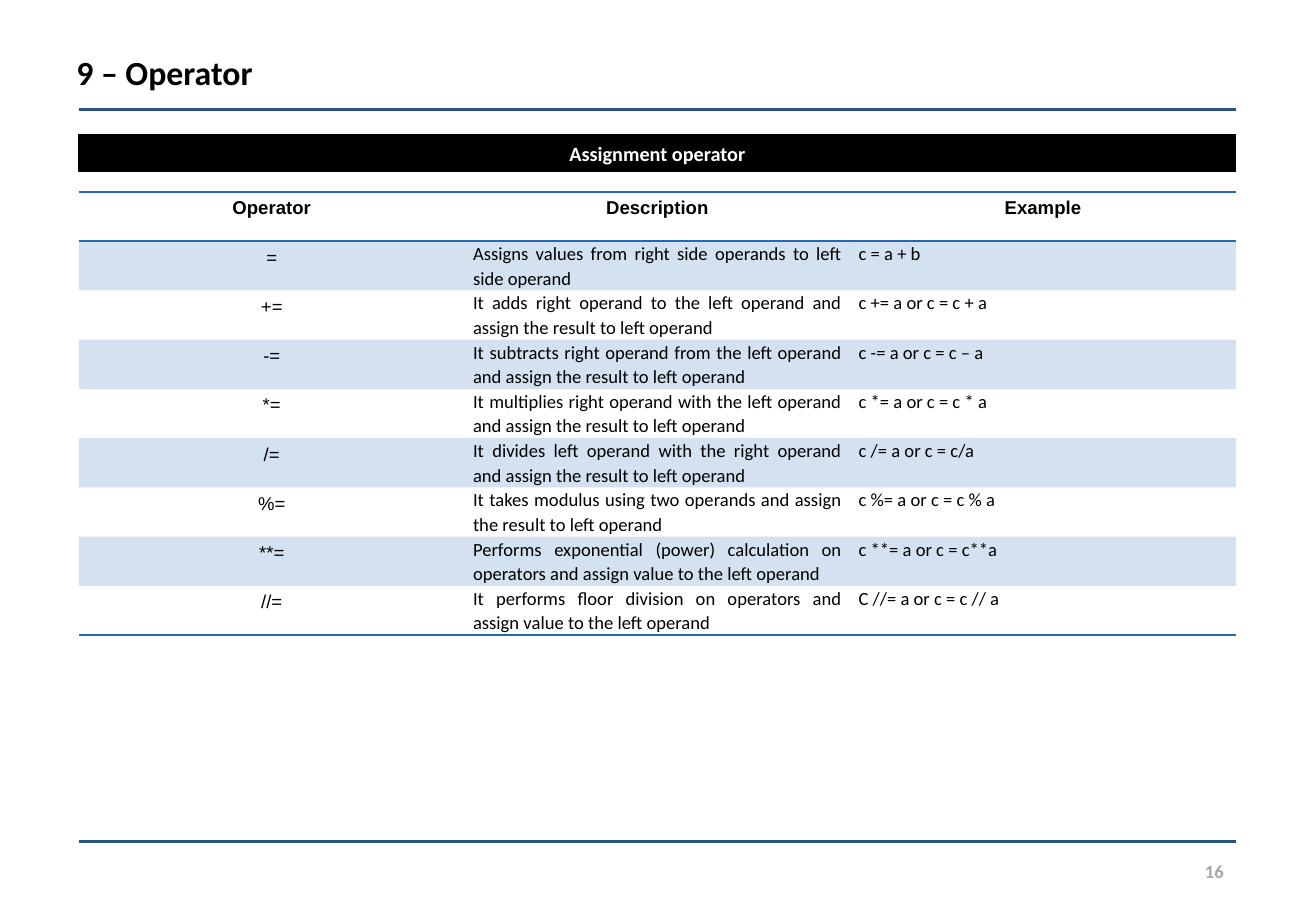
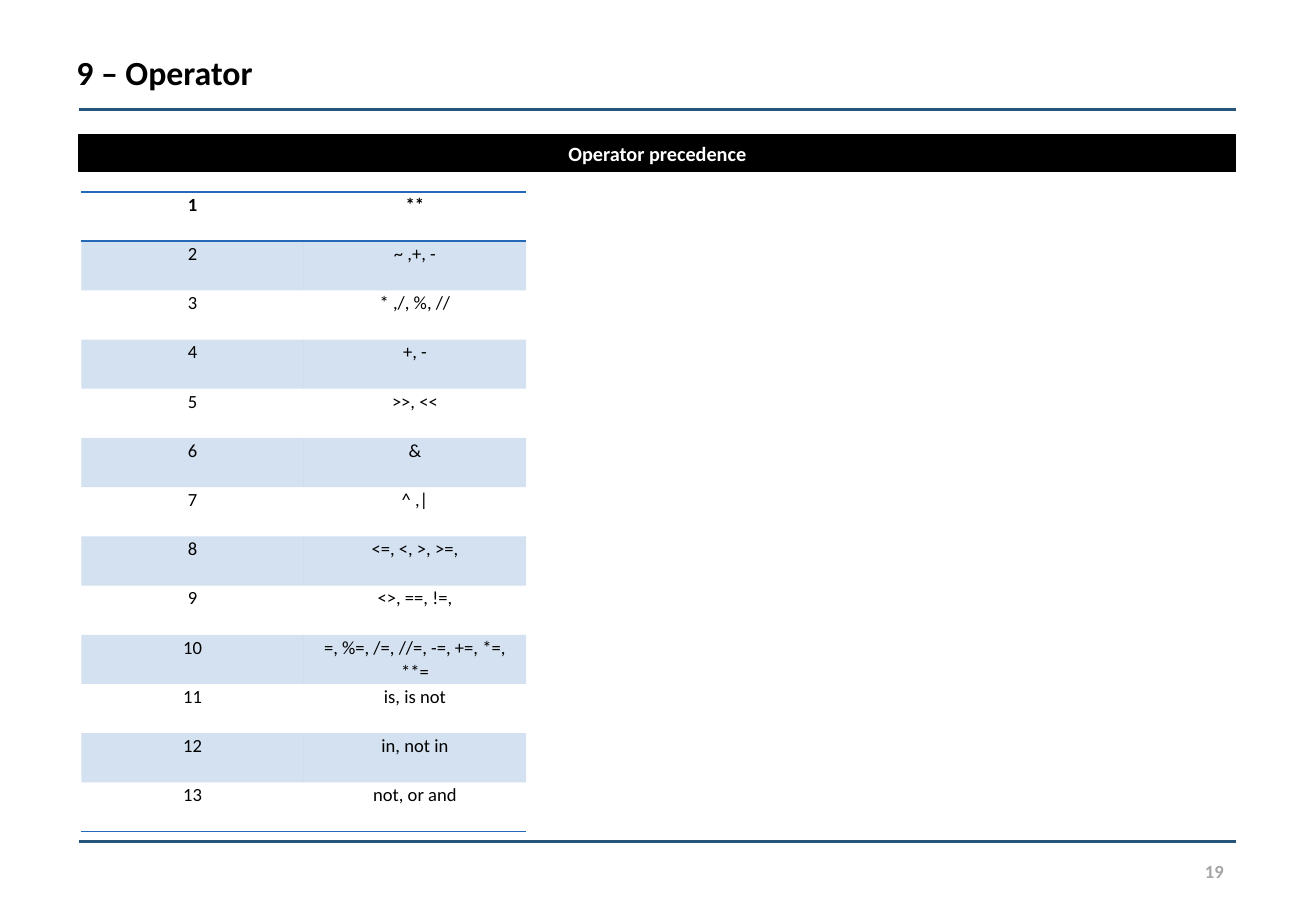
from lxml.etree import SubElement
from pptx import Presentation
from pptx.dml.color import RGBColor
from pptx.enum.shapes import MSO_CONNECTOR as Connector, MSO_SHAPE as Shape
from pptx.enum.text import MSO_ANCHOR as Anchor, PP_ALIGN as Align
from pptx.oxml import parse_xml
from pptx.oxml.ns import nsdecls, qn
from pptx.util import Inches, Pt

LEFT, WIDTH = 0.65, 9.52
TABLE_TOP = 1.58
PLAIN_TABLE_STYLE = "{2D5ABB26-0587-4C30-8999-92F81FD0307C}"


def color(value):
    return RGBColor.from_string(value)


class Deck:
    """Holds the shared style and the current slide."""

    black, white, gray = "000000", "FFFFFF", "A6A6A6"
    rule_color, table_color = "26547B", "2369B7"
    body_font, symbol_font = "Calibri", "Arial"

    def __init__(self):
        self.presentation = Presentation()
        self.presentation.slide_width = Inches(10.83)
        self.presentation.slide_height = Inches(7.5)

    def start_slide(self, title, band, number):
        layout = self.presentation.slide_layouts[6]
        self.slide = self.presentation.slides.add_slide(layout)
        self.rule(0.9)
        self.rule(6.93)
        self.textbox(number, 8.33, 6.93, 1.84, 0.49, 11, self.gray, Align.RIGHT, Anchor.MIDDLE)
        self.textbox(title, 0.53, 0.38, 9.8, 0.45, 20, self.black)
        self.band(band)

    def set_text(self, frame, text, size, text_color, align, bold=True, font=body_font):
        frame.word_wrap = True
        paragraph = frame.paragraphs[0]
        paragraph.text = text
        paragraph.alignment = align
        paragraph.font.name = font
        paragraph.font.size = Pt(size)
        paragraph.font.bold = bold
        paragraph.font.color.rgb = color(text_color)
        return paragraph

    def rule(self, top):
        line = self.slide.shapes.add_connector(
            Connector.STRAIGHT, Inches(LEFT), Inches(top), Inches(LEFT + WIDTH), Inches(top))
        line.line.color.rgb = color(self.rule_color)
        line.line.width = Pt(1.5)
        SubElement(line.element.spPr, qn("a:effectLst"))

    def textbox(self, text, left, top, width, height, size, text_color,
                align=Align.LEFT, anchor=Anchor.TOP):
        box = self.slide.shapes.add_textbox(
            Inches(left), Inches(top), Inches(width), Inches(height))
        box.text_frame.vertical_anchor = anchor
        self.set_text(box.text_frame, text, size, text_color, align)

    def band(self, text):
        shape = self.slide.shapes.add_shape(
            Shape.RECTANGLE, Inches(LEFT), Inches(1.11), Inches(WIDTH), Inches(0.3))
        shape.shadow.inherit = False
        shape.fill.solid()
        shape.fill.fore_color.rgb = color(self.black)
        shape.line.color.rgb = color(self.black)
        shape.line.width = Pt(0.75)
        shape.text_frame.vertical_anchor = Anchor.MIDDLE
        self.set_text(shape.text_frame, text, 12, self.white, Align.CENTER)

    def table(self, rows, left, width, height, alignments, is_symbol):
        frame = self.slide.shapes.add_table(
            len(rows), len(rows[0]), Inches(left), Inches(TABLE_TOP), Inches(width), Inches(height))
        next(frame.element.iter(qn("a:tableStyleId"))).text = PLAIN_TABLE_STYLE
        last = len(rows) - 1
        for row_index, row in enumerate(rows):
            edges = {0: ("lnT", "lnB"), last: ("lnB",)}.get(row_index, ())
            for column, text in enumerate(row):
                cell = frame.table.cell(row_index, column)
                header = row_index == 0
                symbol = is_symbol(row_index, column)
                align = Align.CENTER if header else alignments[column]
                paragraph = self.set_text(
                    cell.text_frame, text, 11, self.black, align, header,
                    self.symbol_font if symbol else self.body_font)
                if not symbol:
                    paragraph.line_spacing = 1.07
                    cell.margin_left = cell.margin_right = Inches(0.07)
                    cell.margin_top = cell.margin_bottom = 0
                self.fill_cell(cell, row_index % 2 == 1)
                self.border_cell(cell, edges)

    def fill_cell(self, cell, shaded):
        if not shaded:
            cell.fill.background()
            return
        cell.fill.solid()
        cell.fill.fore_color.rgb = color(self.table_color)
        tint = next(cell._tc.tcPr.iter(qn("a:srgbClr")))
        SubElement(tint, qn("a:alpha")).set("val", "20000")

    def border_cell(self, cell, edges):
        for position, edge in enumerate(edges):
            cell._tc.tcPr.insert(position, parse_xml(
                f'<a:{edge} {nsdecls("a")} w="12700"><a:solidFill>'
                f'<a:srgbClr val="{self.table_color}"/></a:solidFill></a:{edge}>'))


ASSIGNMENTS = [
    ("Operator", "Description", "Example"),
    ("=", "Assigns values from right side operands to left side operand", "c = a + b"),
    ("+=", "It adds right operand to the left operand and assign the result to left operand",
     "c += a or c = c + a"),
    ("-=", "It subtracts right operand from the left operand and assign the result to left operand",
     "c -= a or c = c – a"),
    ("*=", "It multiplies right operand with the left operand and assign the result to left operand",
     "c *= a or c = c * a"),
    ("/=", "It divides left operand with the right operand and assign the result to left operand",
     "c /= a or c = c/a"),
    ("%=", "It takes modulus using two operands and assign the result to left operand",
     "c %= a or c = c % a"),
    ("**=", "Performs exponential (power) calculation on operators and assign value to the left operand",
     "c **= a or c = c**a"),
    ("//=", "It performs floor division on operators and assign value to the left operand",
     "C //= a or c = c // a"),
]

PRECEDENCE = [
    "**", "~ ,+, -", "* ,/, %, //", "+, -", ">>, <<", "&", "^ ,|", "<=, <, >, >=,",
    "<>, ==, !=,", "=, %=, /=, //=, -=, +=, *=, **=", "is, is not", "in, not in", "not, or and",
]


def main():
    deck = Deck()
    title = "9 – Operator"
    deck.start_slide(title, "Assignment operator", "16")
    deck.table(ASSIGNMENTS, LEFT, WIDTH, 3.65, (Align.CENTER, Align.JUSTIFY, Align.LEFT),
               lambda row, column: row == 0 or column == 0)

    deck.start_slide(title, "Operator precedence", "19")
    ranked = [(str(rank), operators) for rank, operators in enumerate(PRECEDENCE, 1)]
    deck.table(ranked, 0.67, 3.66, 5.27, (Align.CENTER, Align.CENTER),
               lambda row, column: False)
    deck.presentation.save("out.pptx")


if __name__ == "__main__":
    main()
